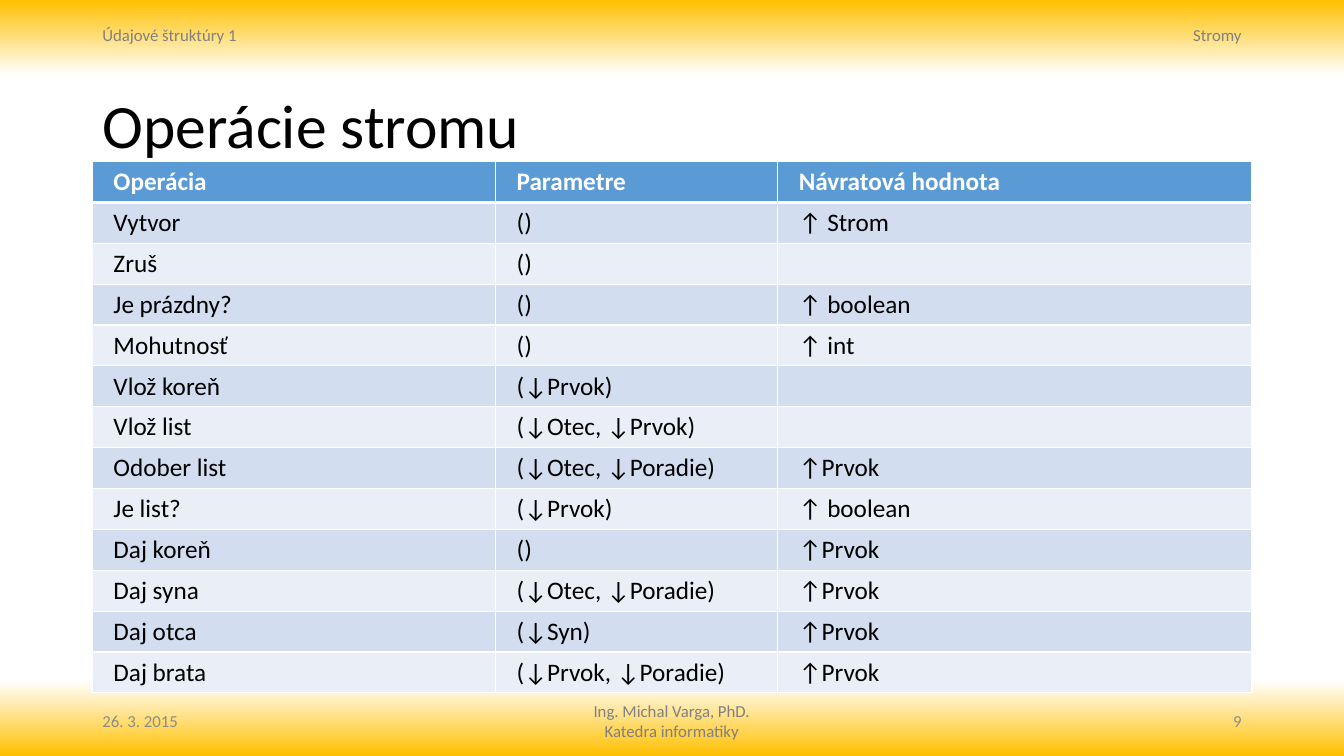
from lxml.etree import SubElement
from pptx import Presentation
from pptx.dml.color import RGBColor
from pptx.enum.text import MSO_ANCHOR as Anchor, PP_ALIGN as Align
from pptx.oxml.ns import qn
from pptx.util import Cm, Pt

FONT = "Calibri"
LEFT, CONTENT_WIDTH = 2.33, 29.21
LABEL_WIDTH = 7.62
RIGHT_LABEL = LEFT + CONTENT_WIDTH - LABEL_WIDTH
COLUMN_WIDTHS = [10.16, 7.11, 11.94]
ROW_HEIGHT = 1.03
GREY, PALE_GREY = "808080", "8C8C8C"
HEADER_FILL, BAND_FILLS = "5B9BD5", ["D2DEEF", "EAEFF7"]
GRADIENT_STOPS = [(0, "FFC000"), (10, "FFFFFF"), (90, "FFFFFF"), (100, "FFC000")]

OPERATIONS = [
    ("Operácia", "Parametre", "Návratová hodnota"),
    ("Vytvor", "()", "↑ Strom"),
    ("Zruš", "()", ""),
    ("Je prázdny?", "()", "↑ boolean"),
    ("Mohutnosť", "()", "↑ int"),
    ("Vlož koreň", "(↓Prvok)", ""),
    ("Vlož list", "(↓Otec, ↓Prvok)", ""),
    ("Odober list", "(↓Otec, ↓Poradie)", "↑Prvok"),
    ("Je list?", "(↓Prvok)", "↑ boolean"),
    ("Daj koreň", "()", "↑Prvok"),
    ("Daj syna", "(↓Otec, ↓Poradie)", "↑Prvok"),
    ("Daj otca", "(↓Syn)", "↑Prvok"),
    ("Daj brata", "(↓Prvok, ↓Poradie)", "↑Prvok"),
]


def rgb(value):
    return RGBColor.from_string(value)


def add_run(paragraph, text, size, color, bold=False):
    run = paragraph.add_run()
    run.text = text
    run.font.name = FONT
    run.font.size = Pt(size)
    run.font.bold = bold
    run.font.color.rgb = rgb(color)


def set_background(slide):
    fill = slide.background.fill
    fill.gradient()
    fill.gradient_angle = 270
    stops = next(slide.element.iter(qn("a:gsLst")))
    for stop in list(stops):
        stops.remove(stop)
    for percent, color in GRADIENT_STOPS:
        stop = SubElement(stops, qn("a:gs"), pos=str(percent * 1000))
        SubElement(stop, qn("a:srgbClr"), val=color)


def add_label(slide, lines, left, top, width, height, color=GREY,
              align=Align.LEFT, anchor=Anchor.TOP):
    shape = slide.shapes.add_textbox(Cm(left), Cm(top), Cm(width), Cm(height))
    frame = shape.text_frame
    frame.word_wrap = True
    frame.vertical_anchor = anchor
    for index, line in enumerate(lines):
        paragraph = frame.add_paragraph() if index else frame.paragraphs[0]
        paragraph.alignment = align
        add_run(paragraph, line, 12, color)


def set_title(slide, text):
    title = slide.shapes.title
    title.left, title.top = Cm(LEFT), Cm(1.78)
    title.width, title.height = Cm(CONTENT_WIDTH), Cm(2.92)
    title.text_frame.vertical_anchor = Anchor.MIDDLE
    paragraph = title.text_frame.paragraphs[0]
    paragraph.alignment = Align.LEFT
    paragraph.line_spacing = 0.9
    add_run(paragraph, text, 44, "000000")


def set_borders(cell, row):
    properties = cell._tc.get_or_add_tcPr()
    widths = {"lnL": 1, "lnR": 1, "lnT": 3 if row == 1 else 1, "lnB": 3 if row == 0 else 1}
    for side, points in widths.items():
        line = SubElement(properties, qn(f"a:{side}"), w=str(Pt(points)))
        fill = SubElement(line, qn("a:solidFill"))
        SubElement(fill, qn("a:srgbClr"), val="FFFFFF")


def format_cell(cell, text, row):
    header = row == 0
    set_borders(cell, row)
    cell.fill.solid()
    cell.fill.fore_color.rgb = rgb(HEADER_FILL if header else BAND_FILLS[(row - 1) % 2])
    cell.margin_left = cell.margin_right = Cm(0.53)
    cell.margin_top = cell.margin_bottom = Cm(0.13)
    if text:
        add_run(cell.text_frame.paragraphs[0], text, 18,
                "FFFFFF" if header else "000000", header)


def add_operations_table(slide):
    table = slide.shapes.add_table(
        len(OPERATIONS), len(COLUMN_WIDTHS), Cm(LEFT), Cm(4.07),
        Cm(CONTENT_WIDTH), Cm(ROW_HEIGHT * len(OPERATIONS))).table
    for column, width in zip(table.columns, COLUMN_WIDTHS):
        column.width = Cm(width)
    for row, texts in enumerate(OPERATIONS):
        table.rows[row].height = Cm(ROW_HEIGHT)
        for column, text in enumerate(texts):
            format_cell(table.cell(row, column), text, row)


def main():
    presentation = Presentation()
    presentation.slide_width, presentation.slide_height = Cm(33.87), Cm(19.05)
    slide = presentation.slides.add_slide(presentation.slide_layouts[5])
    set_background(slide)
    add_label(slide, ["Ing. Michal Varga, PhD.", "Katedra informatiky"],
              12.09, 17.53, 9.68, 1.27, align=Align.CENTER)
    add_label(slide, ["Údajové štruktúry 1"], LEFT, 0.5, LABEL_WIDTH, 0.78)
    add_label(slide, ["Stromy"], RIGHT_LABEL, 0.5, LABEL_WIDTH, 0.78, align=Align.RIGHT)
    set_title(slide, "Operácie stromu")
    add_operations_table(slide)
    add_label(slide, ["26. 3. 2015"], LEFT, 17.66, LABEL_WIDTH, 1.01,
              PALE_GREY, anchor=Anchor.MIDDLE)
    add_label(slide, ["9"], RIGHT_LABEL, 17.66, LABEL_WIDTH, 1.01,
              PALE_GREY, Align.RIGHT, Anchor.MIDDLE)
    presentation.save("out.pptx")


if __name__ == "__main__":
    main()
